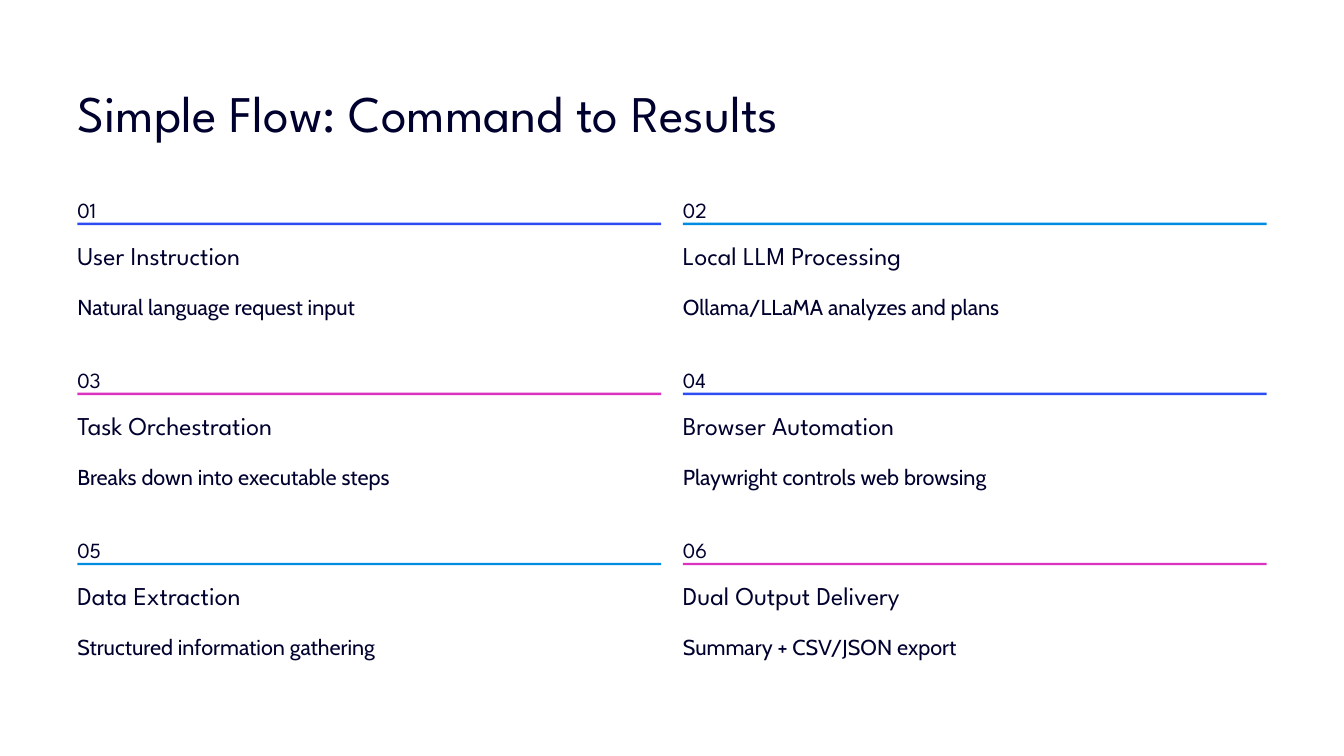
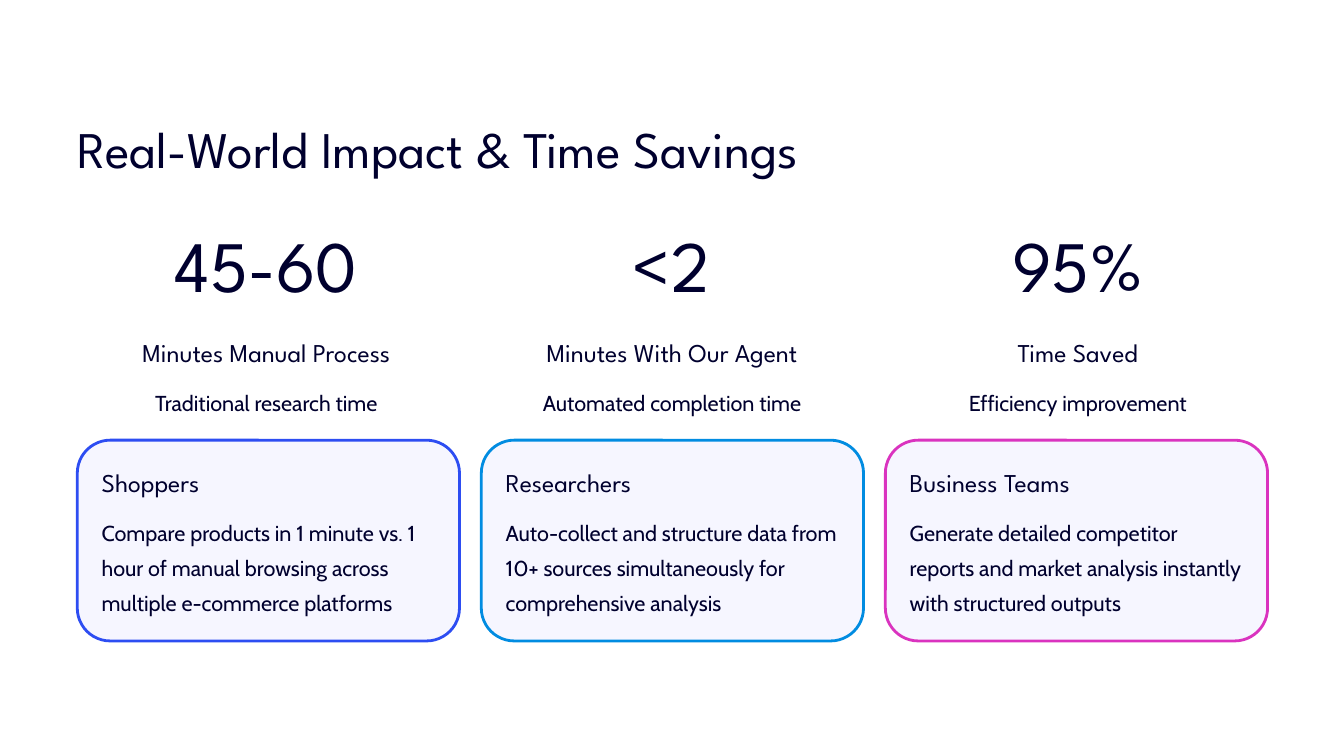
from dataclasses import dataclass
from typing import Any, NamedTuple

from lxml import etree
from pptx import Presentation
from pptx import util as u
from pptx.dml import color
from pptx.enum import shapes, text
from pptx.oxml import ns


class Style(NamedTuple):
    face: str
    size: float
    lead: float


@dataclass(frozen=True)
class Theme:
    ink: str = "00002E"
    panel: str = "F3F3FF"
    alpha: int = 75
    hues: tuple[str, ...] = ("2D4DF2", "018CE1", "DA33BF")
    title: Style = Style("League Spartan", 44, 55)
    stat: Style = Style("League Spartan", 62, 62)
    head: Style = Style("League Spartan", 22, 27.5)
    mark: Style = Style("League Spartan", 18.5, 30)
    body: Style = Style("Cabin", 18.5, 30)


class Box(NamedTuple):
    left: float
    top: float
    width: float
    height: float

    def place(self) -> tuple[u.Length, ...]:
        return tuple(u.Inches(side) for side in self)


class Step(NamedTuple):
    head: str
    body: str


class Stat(NamedTuple):
    value: str
    head: str
    body: str
    width: float


class Card(NamedTuple):
    head: str
    body: str


THEME = Theme()
EDGE = 0.92
LEFT, MID = text.PP_ALIGN.LEFT, text.PP_ALIGN.CENTER

STEPS = (
    Step("User Instruction", "Natural language request input"),
    Step("Local LLM Processing", "Ollama/LLaMA analyzes and plans"),
    Step("Task Orchestration", "Breaks down into executable steps"),
    Step("Browser Automation", "Playwright controls web browsing"),
    Step("Data Extraction", "Structured information gathering"),
    Step("Dual Output Delivery", "Summary + CSV/JSON export"),
)
STATS = (
    Stat("45-60", "Minutes Manual Process", "Traditional research time", 3.41),
    Stat("<2", "Minutes With Our Agent", "Automated completion time", 3.47),
    Stat("95%", "Time Saved", "Efficiency improvement", 3.08),
)
CARDS = (
    Card("Shoppers", "Compare products in 1 minute vs. 1 hour of manual browsing "
         "across multiple e-commerce platforms"),
    Card("Researchers", "Auto-collect and structure data from 10+ sources "
         "simultaneously for comprehensive analysis"),
    Card("Business Teams", "Generate detailed competitor reports and market analysis "
         "instantly with structured outputs"),
)


def apply(target: Any, values: dict[str, Any]) -> None:
    for name, value in values.items():
        setattr(target, name, value)


def tint(code: str) -> color.RGBColor:
    return color.RGBColor.from_string(code)


def write(shape: Any, words: str, style: Style, align: Any = LEFT, wrap: bool = False) -> None:
    frame = shape.text_frame
    frame.text = words
    apply(frame, {
        "margin_left": 0, "margin_top": 0, "margin_right": 0, "margin_bottom": 0,
        "word_wrap": wrap, "auto_size": text.MSO_AUTO_SIZE.NONE,
        "vertical_anchor": text.MSO_ANCHOR.TOP,
    })
    line = frame.paragraphs[0]
    apply(line, {"alignment": align, "line_spacing": u.Pt(style.lead), "space_before": u.Pt(0)})
    font = line.runs[0].font
    apply(font, {"name": style.face, "size": u.Pt(style.size), "bold": False})
    font.color.rgb = tint(THEME.ink)


def label(slide: Any, box: Box, words: str, style: Style, align: Any = LEFT,
          wrap: bool = False) -> None:
    write(slide.shapes.add_textbox(*box.place()), words, style, align, wrap)


def block(slide: Any, kind: Any, box: Box, fill: str) -> Any:
    shape = slide.shapes.add_shape(kind, *box.place())
    shape.shadow.inherit = False
    shape.fill.solid()
    shape.fill.fore_color.rgb = tint(fill)
    shape.line.fill.background()
    return shape


def start(deck: Any, words: str, box: Box) -> Any:
    slide = deck.slides.add_slide(deck.slide_layouts[5])
    title = slide.shapes.title
    apply(title, dict(zip(("left", "top", "width", "height"), box.place())))
    write(title, words, THEME.title)
    return slide


def draw_step(slide: Any, index: int, step: Step) -> None:
    row, col = divmod(index, 2)
    left = EDGE + col * 7.21
    top = 2.24 + row * 4.05 / 2
    label(slide, Box(left, top, 0.26, 0.33), f"{index + 1:02}", THEME.mark)
    block(slide, shapes.MSO_SHAPE.RECTANGLE, Box(left, top + 0.41, 6.95, 0.03),
          THEME.hues[index % len(THEME.hues)])
    label(slide, Box(left, top + 0.6, 3.08, 0.38), step.head, THEME.head)
    label(slide, Box(left, top + 1.15, 6.95, 0.42), step.body, THEME.body)


def draw_stat(slide: Any, index: int, stat: Stat) -> None:
    left, width = EDGE + index * 4.83, 4.5
    inset = (width - stat.width) / 2
    label(slide, Box(left, 2.79, width, 0.86), stat.value, THEME.stat, MID)
    label(slide, Box(left + inset, 3.99, stat.width, 0.38), stat.head, THEME.head, MID)
    label(slide, Box(left, 4.53, width, 0.42), stat.body, THEME.body, MID)


def draw_card(slide: Any, index: int, card: Card) -> None:
    left = EDGE + index * 4.81
    panel = block(slide, shapes.MSO_SHAPE.ROUNDED_RECTANGLE,
                  Box(left, 5.24, 4.55, 2.39), THEME.panel)
    panel.adjustments[0] = 0.164
    fill = panel.element.spPr.find(ns.qn("a:solidFill")).find(ns.qn("a:srgbClr"))
    etree.SubElement(fill, ns.qn("a:alpha"), val=str(THEME.alpha * 1000))
    panel.line.color.rgb = tint(THEME.hues[index])
    panel.line.width = u.Pt(2.4)
    label(slide, Box(left + 0.29, 5.54, 3.08, 0.38), card.head, THEME.head)
    label(slide, Box(left + 0.29, 6.08, 3.96, 1.26), card.body, THEME.body, wrap=True)


def main() -> None:
    deck = Presentation()
    apply(deck, {"slide_width": u.Inches(16), "slide_height": u.Inches(9)})

    flow = start(deck, "Simple Flow: Command to Results", Box(EDGE, 0.94, 9.67, 0.77))
    for index, step in enumerate(STEPS):
        draw_step(flow, index, step)

    impact = start(deck, "Real-World Impact & Time Savings", Box(EDGE, 1.37, 9.87, 0.77))
    for index, stat in enumerate(STATS):
        draw_stat(impact, index, stat)
    for index, card in enumerate(CARDS):
        draw_card(impact, index, card)

    deck.save("out.pptx")


if __name__ == "__main__":
    main()
